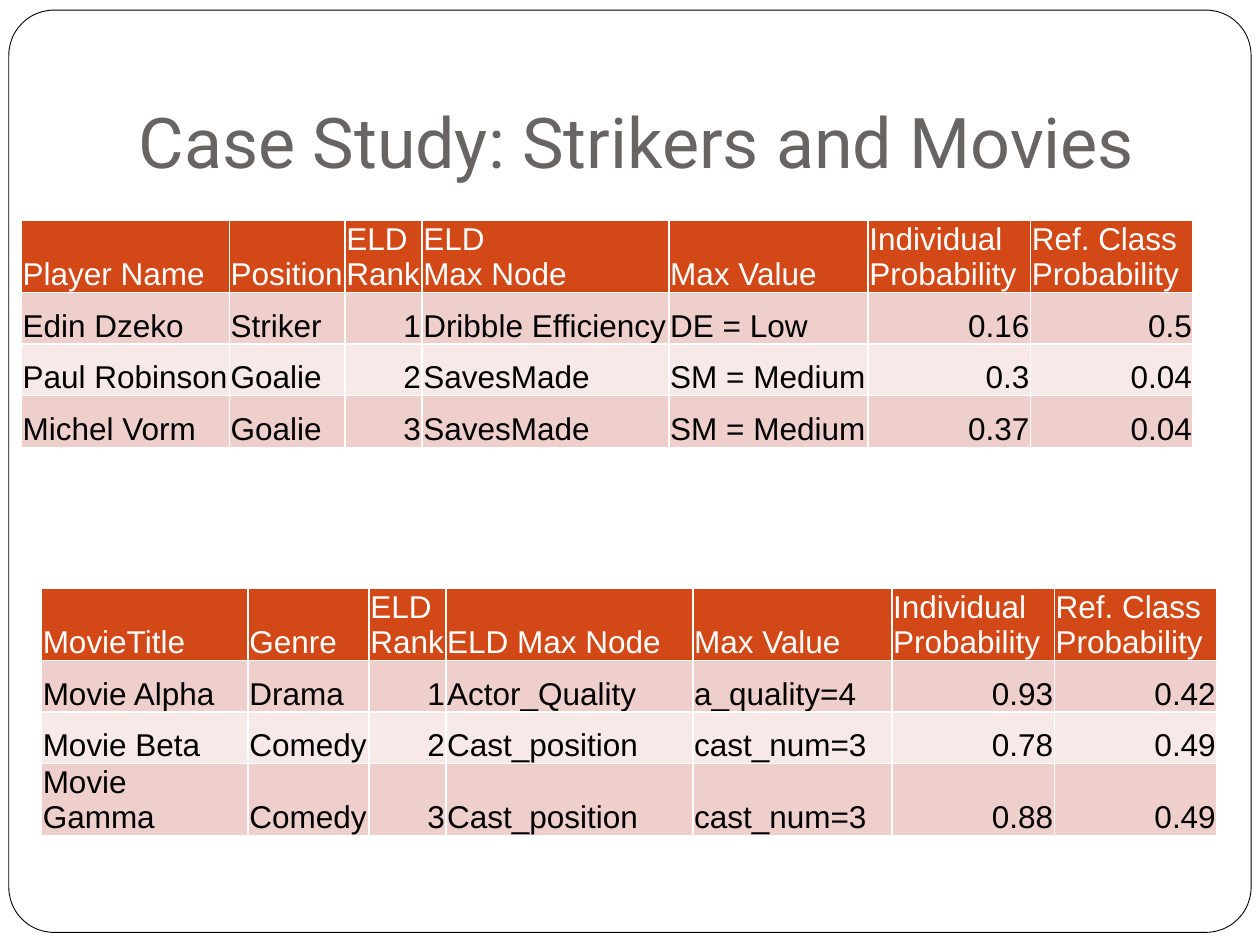
"""Build the case study slide with one table for strikers and one for movies."""
from pptx import Presentation
from pptx.dml.color import RGBColor
from pptx.enum.shapes import MSO_SHAPE
from pptx.enum.text import MSO_ANCHOR, PP_ALIGN
from pptx.util import Inches, Pt

ROUNDED = MSO_SHAPE.ROUNDED_RECTANGLE
BOTTOM = MSO_ANCHOR.BOTTOM
LEFT, RIGHT = PP_ALIGN.LEFT, PP_ALIGN.RIGHT
COLORS = {
    "white": "FFFFFF",
    "black": "000000",
    "title": "696464",
    "header": "D34817",
    "odd_row": "EFCFCC",
    "even_row": "F7E9E8",
}
NUMBER_COLUMNS = (2, 5, 6)
ROW_HEIGHT = 0.41
SHARED_WIDTHS = [0.61, 1.96, 1.58, 1.29, 1.29]
SHARED_HEADERS = ["Max Value", "Individual Probability", "Ref. Class Probability"]
TABLES = [
    {
        "left": 0.17,
        "top": 1.75,
        "widths": [1.65, 0.92] + SHARED_WIDTHS,
        "rows": [
            ["Player Name", "Position", "ELD\nRank", "ELD\nMax Node"] + SHARED_HEADERS,
            ["Edin Dzeko", "Striker", "1", "Dribble Efficiency", "DE = Low", "0.16", "0.5"],
            ["Paul Robinson", "Goalie", "2", "SavesMade", "SM = Medium", "0.3", "0.04"],
            ["Michel Vorm", "Goalie", "3", "SavesMade", "SM = Medium", "0.37", "0.04"],
        ],
    },
    {
        "left": 0.33,
        "top": 4.67,
        "widths": [1.64, 0.96] + SHARED_WIDTHS,
        "rows": [
            ["MovieTitle", "Genre", "ELD\nRank", "ELD Max Node"] + SHARED_HEADERS,
            ["Movie Alpha", "Drama", "1", "Actor_Quality", "a_quality=4", "0.93", "0.42"],
            ["Movie Beta", "Comedy", "2", "Cast_position", "cast_num=3", "0.78", "0.49"],
            ["Movie Gamma", "Comedy", "3", "Cast_position", "cast_num=3", "0.88", "0.49"],
        ],
    },
]


def color(name):
    return RGBColor.from_string(COLORS[name])


def add_run(paragraph, text, font_name, size, color_name):
    run = paragraph.add_run()
    run.text = text
    run.font.name = font_name
    run.font.size = Pt(size)
    run.font.bold = False
    run.font.color.rgb = color(color_name)


presentation = Presentation()
presentation.slide_width = Inches(10)
presentation.slide_height = Inches(7.5)
slide = presentation.slides.add_slide(presentation.slide_layouts[5])

frame = slide.shapes.add_shape(ROUNDED, Inches(0.07), Inches(0.08), Inches(9.86), Inches(7.32))
frame.adjustments[0] = 0.049
frame.shadow.inherit = False
frame.fill.solid()
frame.fill.fore_color.rgb = color("white")
frame.line.color.rgb = color("black")
frame.line.width = Pt(0.5)

title = slide.shapes.title
frame.element.addnext(title.element)
title.left, title.top = Inches(1), Inches(0.3)
title.width, title.height = Inches(8.5), Inches(1.25)
title_text = title.text_frame
title_text.word_wrap = True
title_text.vertical_anchor = BOTTOM
title_text.margin_left = title_text.margin_right = title_text.margin_bottom = Inches(0.1)
title_text.margin_top = Inches(0.05)
title_text.paragraphs[0].alignment = LEFT
add_run(title_text.paragraphs[0], "Case Study: Strikers and Movies", "Roboto", 40, "title")

for data in TABLES:
    rows, widths = data["rows"], data["widths"]
    table = slide.shapes.add_table(
        len(rows), len(widths), Inches(data["left"]), Inches(data["top"]),
        Inches(sum(widths)), Inches(ROW_HEIGHT * len(rows)),
    ).table
    for column, width in zip(table.columns, widths):
        column.width = Inches(width)
    for row_index, values in enumerate(rows):
        table.rows[row_index].height = Inches(ROW_HEIGHT)
        is_header = row_index == 0
        fill_name = "header" if is_header else "odd_row" if row_index % 2 else "even_row"
        for column_index, value in enumerate(values):
            cell = table.cell(row_index, column_index)
            cell.fill.solid()
            cell.fill.fore_color.rgb = color(fill_name)
            cell.vertical_anchor = BOTTOM
            cell.margin_left = cell.margin_right = cell.margin_top = Inches(0.01)
            cell.margin_bottom = 0
            is_number = not is_header and column_index in NUMBER_COLUMNS
            for line_index, line in enumerate(value.split("\n")):
                text_frame = cell.text_frame
                paragraph = text_frame.add_paragraph() if line_index else text_frame.paragraphs[0]
                paragraph.alignment = RIGHT if is_number else LEFT
                add_run(paragraph, line, "Arial", 18, "white" if is_header else "black")

presentation.save("out.pptx")
